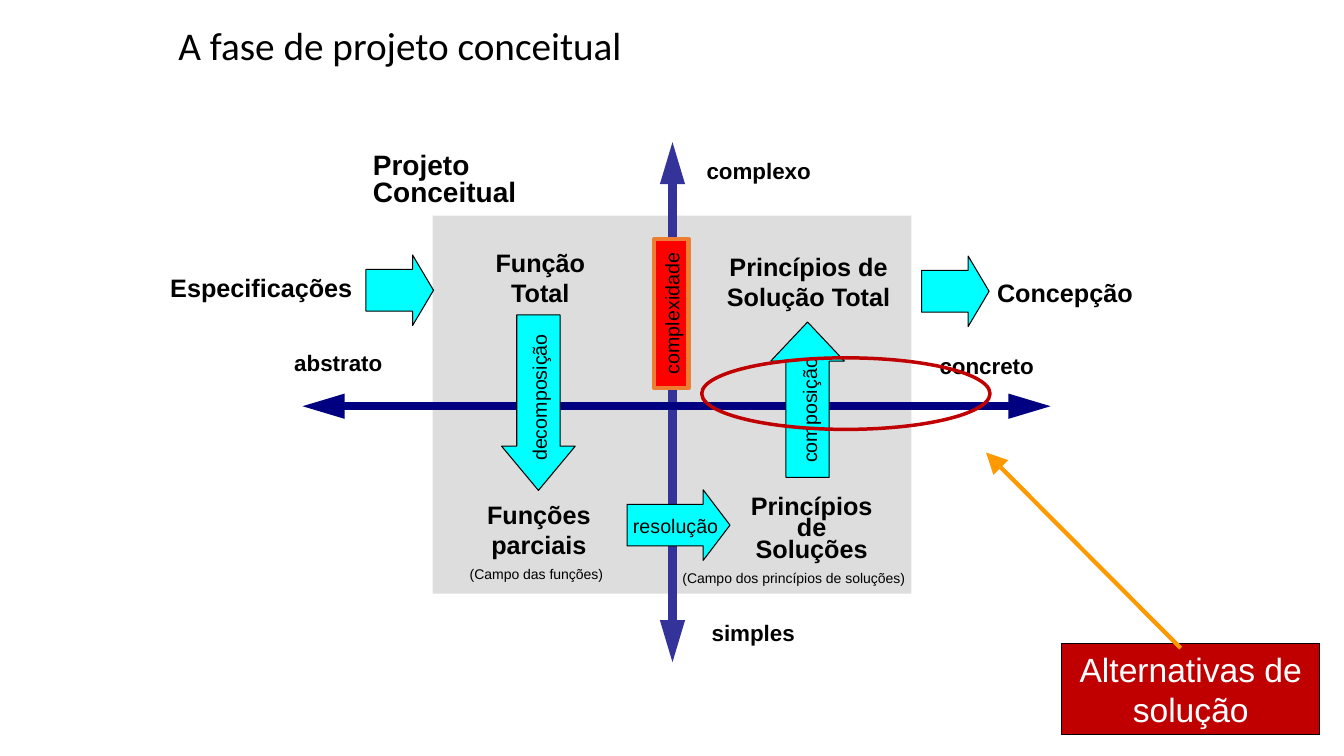
from collections import namedtuple

from lxml.etree import SubElement
from pptx import Presentation
from pptx.dml.color import RGBColor
from pptx.enum.shapes import MSO_CONNECTOR as Connector, MSO_SHAPE as Shape
from pptx.enum.text import MSO_ANCHOR as Anchor, PP_ALIGN as Align
from pptx.oxml.ns import qn
from pptx.util import Inches, Pt

BLACK = RGBColor(0x00, 0x00, 0x00)
WHITE = RGBColor(0xFF, 0xFF, 0xFF)
GREY = RGBColor(0xDD, 0xDD, 0xDD)
CYAN = RGBColor(0x00, 0xFF, 0xFF)
RED = RGBColor(0xFF, 0x00, 0x00)
DARK_RED = RGBColor(0xC0, 0x00, 0x00)
ORANGE = RGBColor(0xED, 0x7D, 0x31)
AMBER = RGBColor(0xFF, 0x99, 0x00)
INDIGO = RGBColor(0x33, 0x33, 0x99)
NAVY = RGBColor(0x00, 0x00, 0x80)

CELL = Inches(0.1)
Box = namedtuple("Box", "left top width height")
TITLE = Box(16.7, 0, 64.4, 9.5)
PANEL = Box(42.9, 21.4, 47.5, 37.5)
CALLOUT = Box(105.3, 63.8, 25.6, 9.1)


def within(area, left, top, width, height):
    """Return a box whose corner is counted in cells from the corner of an area."""
    return Box(area.left + left, area.top + top, width, height)


def cells(*counts):
    """Convert grid cells to lengths."""
    return [round(count * CELL) for count in counts]


def write(shape, text, size, bold=False, color=BLACK, align=Align.LEFT,
          spacing=None, font="Arial"):
    """Write one paragraph into a shape."""
    shape.text_frame.word_wrap = True
    para = shape.text_frame.paragraphs[0]
    para.alignment = align
    if spacing:
        para.line_spacing = spacing
    span = para.add_run()
    span.text = text
    span.font.name = font
    span.font.size = Pt(size)
    span.font.bold = bold
    span.font.color.rgb = color


def add_label(page, box, text, size, turn=0, **style):
    """Add a text box."""
    label = page.shapes.add_textbox(*cells(*box))
    label.rotation = turn
    write(label, text, size, **style)


def add_figure(page, kind, box, fill=None, line=None, weight=0.75, turn=0):
    """Add a preset shape with a plain fill and outline."""
    figure = page.shapes.add_shape(kind, *cells(*box))
    figure.shadow.inherit = False
    figure.rotation = turn
    if fill is None:
        figure.fill.background()
    else:
        figure.fill.solid()
        figure.fill.fore_color.rgb = fill
    if line is None:
        figure.line.fill.background()
    else:
        figure.line.color.rgb = line
        figure.line.width = Pt(weight)
    return figure


def add_arrow_line(page, start, end, color, weight, heads, head_width):
    """Add a straight line with long triangular heads at the named ends."""
    arrow = page.shapes.add_connector(Connector.STRAIGHT, *cells(*start, *end))
    arrow.line.color.rgb = color
    arrow.line.width = Pt(weight)
    outline = arrow.line._get_or_add_ln()
    for head in heads:
        SubElement(outline, qn("a:" + head), type="triangle", w=head_width, len="lg")
    SubElement(arrow._element.spPr, qn("a:effectLst"))


def add_title(page, box):
    """Place the slide title."""
    title = page.shapes.title
    title.left, title.top, title.width, title.height = cells(*box)
    title.text_frame.vertical_anchor = Anchor.MIDDLE
    write(title, "A fase de projeto conceitual", 28, spacing=0.9, font="Calibri")


def add_panel(page, area):
    """Draw the grey field with its functions and principles."""
    add_figure(page, Shape.RECTANGLE, area, GREY)
    for text, place, spacing in (
        ("Função Total", (4.9, 2.6, 11.6, 7), None),
        ("Funções parciais", (2, 27.6, 17.1, 7), None),
        ("Princípios de Soluções", (30, 27.6, 15.2, 7.4), 0.7),
        ("Princípios de Solução Total", (27.8, 3, 19, 7), None),
    ):
        add_label(page, within(area, *place), text, 18, bold=True,
                  align=Align.CENTER, spacing=spacing)
    for text, place in (
        ("(Campo das funções)", (2.7, 34.2, 16.8, 2.7)),
        ("(Campo dos princípios de soluções)", (23.8, 34.6, 24.6, 2.7)),
    ):
        add_label(page, within(area, *place), text, 10)
    add_label(page, within(area, -6.9, -6.6, 17.8, 6.4), "Projeto Conceitual", 20,
              bold=True, spacing=0.8)


def add_axes(page, area):
    """Draw the two axes across the panel and name their ends."""
    across, down = area.left + 23.8, area.top + 18.9
    for start, end, color in (
        ((across, area.top - 7.3), (across, area.top + 44.3), INDIGO),
        ((area.left - 12.9, down), (area.left + 61.3, down), NAVY),
    ):
        add_arrow_line(page, start, end, color, 6, ("headEnd", "tailEnd"), "med")
    for text, left, top in (
        ("complexo", 26.2, -6.3),
        ("simples", 26.7, 39.5),
        ("abstrato", -14.7, 12.7),
        ("concreto", 49.3, 13),
    ):
        add_label(page, within(area, left, top, 14, 3.7), text, 16, bold=True)


def add_flow(page, area):
    """Draw the block arrows of the design steps and the complexity bar."""
    for text, place, turn, point, label, label_turn, size in (
        ("decomposição", (1.8, 14.9, 17.4, 7.3), 90, 0.6,
         (3, 16.1, 15.1, 3.3), 270, 14),
        ("resolução", (19.3, 27.2, 10.2, 7), 0, 0.38,
         (18.9, 29.1, 10.6, 3.3), 0, 14),
        ("composição", (29.5, 14.6, 15.4, 7.3), 270, 0.53,
         (30.1, 16.6, 14.5, 3.3), 270, 14),
        ("Especificações", (-6.6, 3.9, 6.7, 7), 0, 0.31,
         (-27, 5.1, 20.4, 4), 0, 18),
        ("Concepção", (48.5, 4, 6.7, 7), 0, 0.31,
         (55, 5.6, 15.9, 4), 0, 18),
    ):
        arrow = add_figure(page, Shape.RIGHT_ARROW, within(area, *place), CYAN, BLACK,
                           turn=turn)
        arrow.adjustments[0] = 0.59
        arrow.adjustments[1] = point
        add_label(page, within(area, *label), text, size, label_turn, bold=size == 18)
    bar = add_figure(page, Shape.RECTANGLE, within(area, 16.3, 8, 14.8, 3.4), RED,
                     ORANGE, 3, 270)
    write(bar, "complexidade", 14, align=Align.CENTER)


def add_callout(page, box, area):
    """Draw the red note, the ring on the panel and the arrow towards it."""
    note = add_figure(page, Shape.RECTANGLE, box, DARK_RED, BLACK)
    write(note, "Alternativas de solução", 24, color=WHITE, align=Align.CENTER)
    add_figure(page, Shape.OVAL, within(area, 26.7, 14.1, 28.6, 7.1), None, DARK_RED, 2.5)
    add_arrow_line(page, (box.left + 11.8, box.top + 0.5),
                   (box.left - 7.5, box.top - 18.9), AMBER, 3, ("tailEnd",), "lg")


def main():
    """Build the slide and save it."""
    deck = Presentation()
    deck.slide_width, deck.slide_height = Inches(13.33), Inches(7.5)
    page = deck.slides.add_slide(deck.slide_layouts[5])
    add_title(page, TITLE)
    add_panel(page, PANEL)
    add_axes(page, PANEL)
    add_flow(page, PANEL)
    add_callout(page, CALLOUT, PANEL)
    deck.save("out.pptx")


if __name__ == "__main__":
    main()
